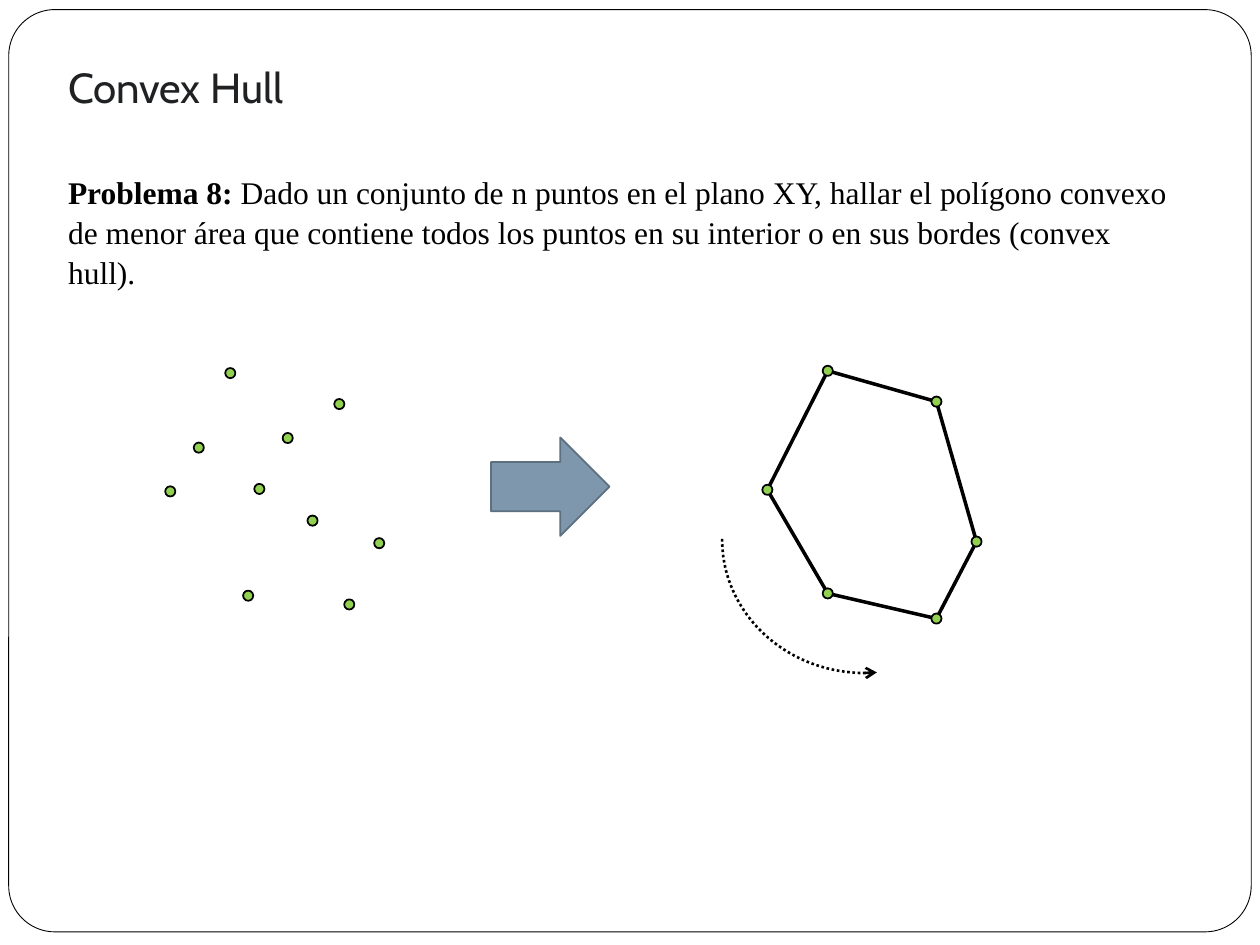
from lxml import etree
from pptx import Presentation
from pptx.dml.color import RGBColor
from pptx.enum.dml import MSO_LINE
from pptx.enum.shapes import MSO_CONNECTOR, MSO_SHAPE
from pptx.enum.text import MSO_ANCHOR, PP_ALIGN
from pptx.oxml.ns import qn
from pptx.util import Pt

STRAIGHT = MSO_CONNECTOR.STRAIGHT
FRAME, DOT, ARC, BLOCK_ARROW = (MSO_SHAPE.ROUNDED_RECTANGLE, MSO_SHAPE.OVAL,
                                MSO_SHAPE.ARC, MSO_SHAPE.RIGHT_ARROW)
DOTTED = MSO_LINE.ROUND_DOT
TOP, BOTTOM = MSO_ANCHOR.TOP, MSO_ANCHOR.BOTTOM
LEFT = PP_ALIGN.LEFT
BLACK, WHITE, GREEN = "000000", "FFFFFF", "92D050"
DOT_SIZE = 5.8

# Point centres, in points; the hull runs counterclockwise.
CLOUD = [(97.3, 280.8), (216.7, 310.4), (131.6, 213.2), (141.8, 340.4), (199.6, 345.4),
         (193.9, 230.9), (178.6, 297.5), (113.6, 255.8), (164.4, 250.3), (148.2, 279.4)]
HULL = [(473, 211.9), (438.5, 279.9), (473, 339.1), (535.1, 353.5), (558, 309.5), (535.1, 229.5)]


def color(value):
    return RGBColor.from_string(value)


class SlideBuilder:
    def __init__(self, presentation):
        self.slide = presentation.slides.add_slide(presentation.slide_layouts[1])
        self.shapes = self.slide.shapes

    def placeholder(self, index, box, anchor, runs, size, font, text_color,
                    bottom_inset=3.6, spacing=1.0):
        """Place one template placeholder; runs are (text, bold) pairs."""
        shape = self.slide.placeholders[index]
        shape.left, shape.top, shape.width, shape.height = map(Pt, box)
        frame = shape.text_frame
        frame.word_wrap = True
        frame.vertical_anchor = anchor
        frame.margin_bottom = Pt(bottom_inset)
        paragraph = frame.paragraphs[0]
        paragraph.alignment = LEFT
        paragraph.space_before = Pt(0)
        paragraph.line_spacing = spacing
        properties = paragraph._p.get_or_add_pPr()
        properties.set("marL", "0")
        properties.set("indent", "0")
        etree.SubElement(properties, qn("a:buNone"))
        for text, bold in runs:
            run = paragraph.add_run()
            run.text = text
            run.font.size = Pt(size)
            run.font.name = font
            run.font.bold = bold
            run.font.color.rgb = color(text_color)

    def shape(self, kind, box, fill, line, width, adjustments=()):
        shape = self.shapes.add_shape(kind, *map(Pt, box))
        shape.shadow.inherit = False
        for number, value in enumerate(adjustments):
            shape.adjustments[number] = value
        if fill:
            shape.fill.solid()
            shape.fill.fore_color.rgb = color(fill)
        else:
            shape.fill.background()
        shape.line.color.rgb = color(line)
        shape.line.width = Pt(width)
        return shape

    def frame(self, box):
        """Draw the slide border behind everything else."""
        element = self.shape(FRAME, box, WHITE, BLACK, 0.5, [0.05]).element
        element.getparent().insert(2, element)

    def dot(self, x, y):
        half = DOT_SIZE / 2
        self.shape(DOT, (x - half, y - half, DOT_SIZE, DOT_SIZE), GREEN, BLACK, 1)

    def edge(self, start, end):
        line = self.shapes.add_connector(STRAIGHT, *map(Pt, (*start, *end)))
        line.line.color.rgb = color(BLACK)
        line.line.width = Pt(2)
        etree.SubElement(line.element.spPr, qn("a:effectLst"))

    def turning_arrow(self, box, rotation, adjustments):
        arc = self.shape(ARC, box, None, BLACK, 1.5, adjustments)
        arc.rotation = rotation
        arc.line.dash_style = DOTTED
        etree.SubElement(arc.line._get_or_add_ln(), qn("a:headEnd"), type="arrow")


def main():
    presentation = Presentation()
    presentation.slide_width, presentation.slide_height = Pt(720), Pt(540)
    builder = SlideBuilder(presentation)

    builder.frame((5, 5.5, 710, 527))
    builder.placeholder(0, (31.7, 21.6, 612, 49.7), BOTTOM, [("Convex Hull", False)],
                        24, "Cabin", "1F2123", bottom_inset=7.2)
    builder.placeholder(1, (31.7, 94.3, 652.3, 73), TOP, [
        ("Problema 8: ", True),
        ("Dado un conjunto de n puntos en el plano XY, hallar el polígono convexo de menor "
         "área que contiene todos los puntos en su interior o en sus bordes (convex hull).",
         False),
    ], 18, "Times New Roman", BLACK, spacing=1.05)

    for start, end in zip(HULL, HULL[1:] + HULL[:1]):
        builder.edge(start, end)
    for x, y in HULL + CLOUD:
        builder.dot(x, y)
    builder.turning_arrow((412.6, 234, 160.6, 150.5), 185, [155.28, 213.77])
    builder.shape(BLOCK_ARROW, (280.6, 250, 67.7, 56.3), "7E97AD", "5D7080", 1)

    presentation.save("out.pptx")


if __name__ == "__main__":
    main()
